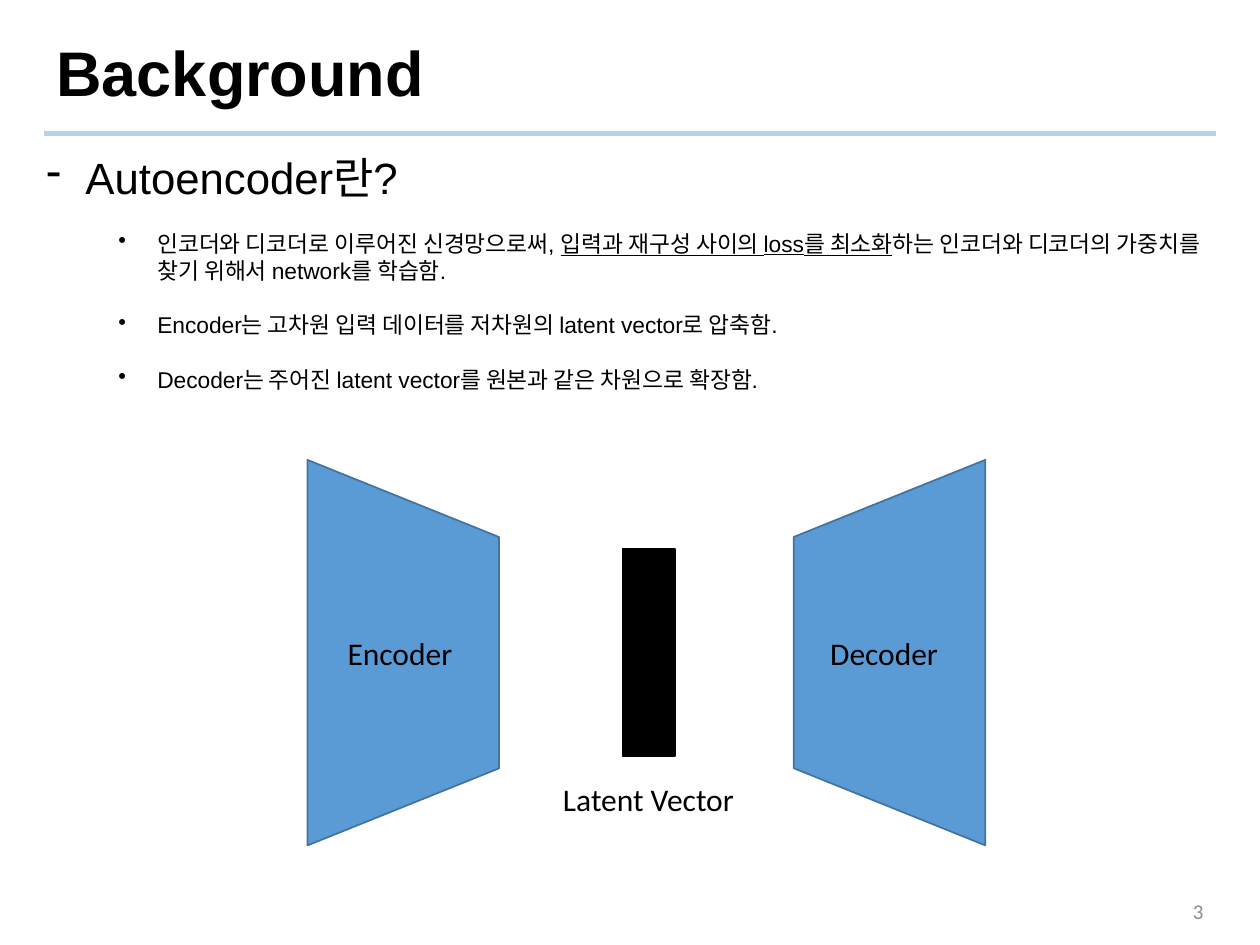
"""Build the autoencoder background slide."""
from dataclasses import dataclass

from pptx import Presentation
from pptx import util as u
from pptx.dml.color import RGBColor
from pptx.enum import shapes, text
from pptx.oxml import xmlchemy
from pptx.oxml.ns import qn

Inches, Pt = u.Inches, u.Pt


@dataclass(frozen=True)
class Theme:
    """Colours, fonts and type sizes of the slide."""
    ink: str = "000000"
    muted: str = "8C8C8C"
    rule: str = "B5D2EC"
    block: str = "5B9BD5"
    block_edge: str = "43739E"
    body_font: str = "Arial"
    label_font: str = "Calibri"
    title_size: int = 36
    heading_size: int = 25
    bullet_size: int = 13
    label_size: int = 18
    number_size: int = 12


THEME = Theme()
BULLETS = [
    [("인코더와 디코더로 이루어진 신경망으로써, ", False),
     ("입력과 재구성 사이의 loss를 최소화", True),
     ("하는 인코더와 디코더의 가중치를 찾기 위해서 network를 학습함.", False)],
    [("Encoder는 고차원 입력 데이터를 저차원의 latent vector로 압축함.", False)],
    [("Decoder는 주어진 latent vector를 원본과 같은 차원으로 확장함.", False)],
]
LABELS = [("Encoder", 2.66, 4.98, 1.22), ("Decoder", 6.49, 4.98, 1.22),
          ("Latent Vector", 4.37, 6.14, 1.67)]


def inches(*values):
    """Convert several numbers to lengths."""
    return [Inches(value) for value in values]


def set_bullet(paragraph, character):
    """Give a paragraph a hanging bullet."""
    properties = paragraph._p.get_or_add_pPr()
    properties.set("marL", str(Inches(0.31)))
    properties.set("indent", str(Inches(-0.31)))
    bullet = xmlchemy.OxmlElement("a:buChar")
    bullet.set("char", character)
    properties.append(bullet)


def add_text(slide, paragraphs, box, *, size, font=THEME.body_font, color=THEME.ink,
             bold=False, align=None, anchor=text.MSO_ANCHOR.TOP, bullet=None,
             gap=0, line_spacing=None):
    """Add a text box from one string or from paragraphs of (text, underline) runs."""
    if isinstance(paragraphs, str):
        paragraphs = [[(paragraphs, False)]]
    frame = slide.shapes.add_textbox(*inches(*box)).text_frame
    frame.word_wrap = True
    frame.vertical_anchor = anchor
    for index, runs in enumerate(paragraphs):
        paragraph = frame.add_paragraph() if index else frame.paragraphs[0]
        paragraph.alignment = align
        paragraph.line_spacing = line_spacing
        paragraph.space_before = Pt(gap if index else 0)
        if bullet:
            set_bullet(paragraph, bullet)
        for content, underline in runs:
            run = paragraph.add_run()
            run.text = content
            run.font.name, run.font.size = font, Pt(size)
            run.font.bold, run.font.underline = bold, underline
            run.font.color.rgb = RGBColor.from_string(color)


def add_block(slide, kind, box, fill, edge, rotation=0):
    """Add a filled, outlined preset shape."""
    shape = slide.shapes.add_shape(kind, *inches(*box))
    shape.rotation = rotation
    shape.shadow.inherit = False
    shape.fill.solid()
    shape.fill.fore_color.rgb = RGBColor.from_string(fill)
    shape.line.color.rgb = RGBColor.from_string(edge)
    shape.line.width = Pt(1)


def add_rule(slide, left, right, top):
    """Add the horizontal rule under the title."""
    line = slide.shapes.add_connector(shapes.MSO_CONNECTOR.STRAIGHT,
                                      *inches(left, top, right, top))
    line.line.color.rgb = RGBColor.from_string(THEME.rule)
    line.line.width = Pt(3)
    line._element.find(qn("p:spPr")).append(xmlchemy.OxmlElement("a:effectLst"))


def add_diagram(slide):
    """Add the encoder, latent vector and decoder with their labels."""
    trapezoid = shapes.MSO_SHAPE.FLOWCHART_MANUAL_OPERATION
    for left, rotation in ((1.67, 270), (5.53, 90)):
        add_block(slide, trapezoid, (left, 4.42, 3.06, 1.52),
                  THEME.block, THEME.block_edge, rotation)
    add_block(slide, shapes.MSO_SHAPE.RECTANGLE, (4.94, 4.36, 0.42, 1.64),
              THEME.ink, THEME.ink)
    for label, left, top, width in LABELS:
        add_text(slide, label, (left, top, width, 0.4),
                 size=THEME.label_size, font=THEME.label_font)


def main():
    """Build and save the slide."""
    presentation = Presentation()
    presentation.slide_width, presentation.slide_height = inches(10, 7.5)
    slide = presentation.slides.add_slide(presentation.slide_layouts[6])
    add_rule(slide, 0.35, 9.65, 1.06)
    add_text(slide, "Background", (0.35, 0.21, 9.3, 0.79), size=THEME.title_size,
             bold=True, anchor=text.MSO_ANCHOR.MIDDLE, line_spacing=0.9)
    add_text(slide, "3", (7.06, 7.03, 2.59, 0.4), size=THEME.number_size,
             font=THEME.label_font, color=THEME.muted, align=text.PP_ALIGN.RIGHT,
             anchor=text.MSO_ANCHOR.MIDDLE)
    add_text(slide, "Autoencoder란?", (0.27, 1.15, 4.98, 2.09),
             size=THEME.heading_size, bullet="-")
    add_text(slide, BULLETS, (0.84, 1.77, 8.81, 1.72),
             size=THEME.bullet_size, bullet="•", gap=15.6)
    add_diagram(slide)
    presentation.save("out.pptx")


if __name__ == "__main__":
    main()
